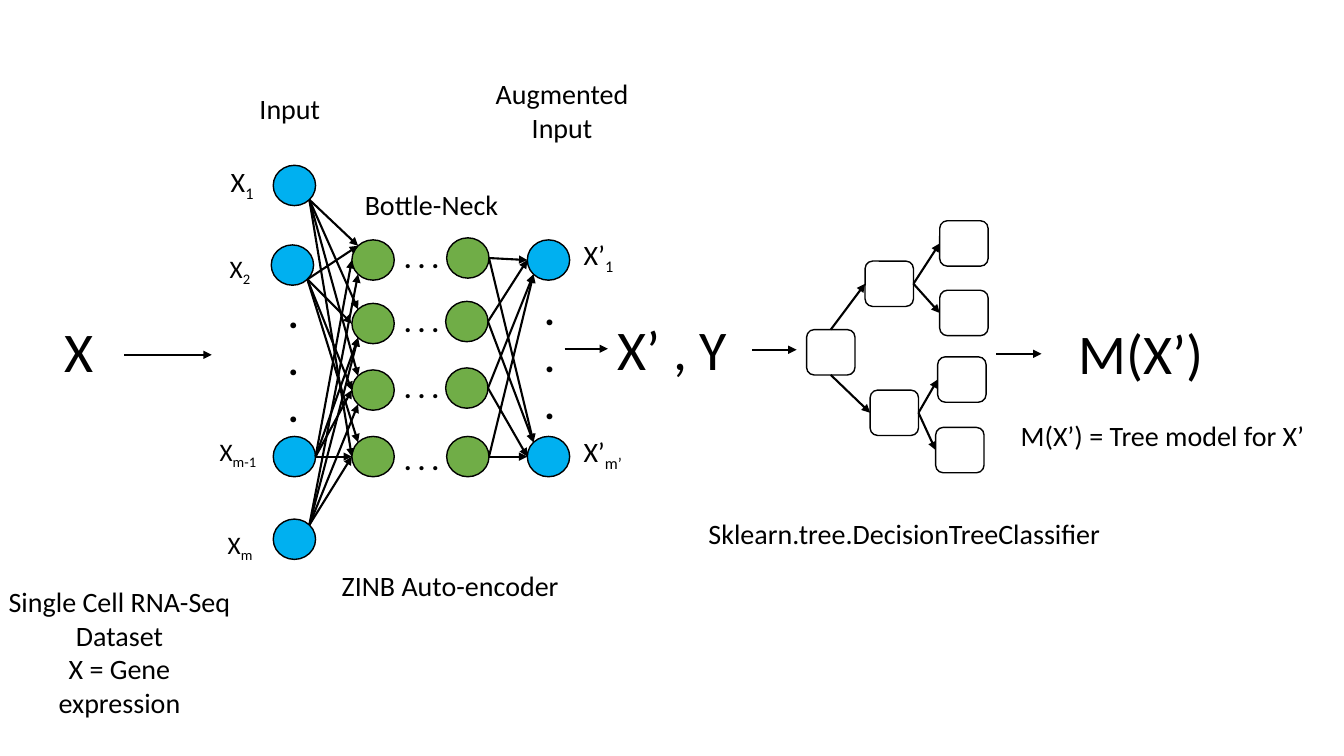
from math import cos, radians, sin

from lxml import etree
from pptx import Presentation
from pptx import util as u
from pptx.dml.color import RGBColor
from pptx.enum import shapes, text
from pptx.oxml.ns import qn

BLACK = RGBColor(0x00, 0x00, 0x00)
WHITE = RGBColor(0xFF, 0xFF, 0xFF)
BLUE = RGBColor(0x00, 0xB0, 0xF0)
GREEN = RGBColor(0x70, 0xAD, 0x47)

SCALE = 9144  # EMU in one px, 100 px to the inch
ELLIPSE = shapes.MSO_SHAPE.OVAL
ROUNDED = shapes.MSO_SHAPE.ROUNDED_RECTANGLE

# Connection sites run counter-clockwise from the top: 4 on a box, 8 on an ellipse.
BOX_TOP, BOX_LEFT, BOX_BOTTOM, BOX_RIGHT = range(4)
UPPER_LEFT, LEFT, LOWER_LEFT = 1, 2, 3
LOWER_RIGHT, RIGHT, UPPER_RIGHT = 5, 6, 7


class Diagram:
    font = "Calibri"
    outline = {"width": u.Pt(1)}
    arrow_line = {"width": u.Pt(1.5)}

    def __init__(self, page):
        self.page = page

    def style(self, target, values):
        for name, value in values.items():
            setattr(target, name, value)

    def draw_line(self, line, values):
        self.style(line, values)
        line.color.rgb = BLACK

    def node(self, kind, x, y, width, height, color):
        shape = self.page.shapes.add_shape(
            kind, *(v * SCALE for v in (x, y, width, height)))
        shape.shadow.inherit = False
        shape.fill.solid()
        shape.fill.fore_color.rgb = color
        self.draw_line(shape.line, self.outline)
        return shape

    def neuron(self, x, y, color):
        return self.node(ELLIPSE, x, y, 42, 40, color)

    def tree_box(self, x, y):
        return self.node(ROUNDED, x, y, 48, 45, WHITE)

    def site(self, shape, index):
        """Return the point of a connection site in EMU."""
        step = 45 if shape.auto_shape_type == ELLIPSE else 90
        angle = radians(90 + step * index)
        return (round(shape.left + shape.width / 2 * (1 + cos(angle))),
                round(shape.top + shape.height / 2 * (1 - sin(angle))))

    def connector(self, start, end):
        """Draw an arrow between two points in EMU."""
        line = self.page.shapes.add_connector(
            shapes.MSO_CONNECTOR.STRAIGHT, *start, *end)
        self.draw_line(line.line, self.arrow_line)
        properties = line._element.spPr
        etree.SubElement(properties.find(qn("a:ln")), qn("a:tailEnd"), type="triangle")
        etree.SubElement(properties, qn("a:effectLst"))
        return line

    def arrow(self, x, y, length):
        self.connector((x * SCALE, y * SCALE), ((x + length) * SCALE, y * SCALE))

    def link(self, source, source_site, target, target_site):
        """Draw an arrow that stays attached to both shapes."""
        line = self.connector(self.site(source, source_site),
                              self.site(target, target_site))
        glue = line._element.nvCxnSpPr.cNvCxnSpPr
        for tag, shape, index in (("a:stCxn", source, source_site),
                                  ("a:endCxn", target, target_site)):
            etree.SubElement(glue, qn(tag), id=str(shape.shape_id), idx=str(index))

    def label(self, x, y, width, height, lines, size=20, subscript="",
              bold=False, centered=False):
        """Add text, one paragraph a line; only centred labels wrap."""
        box = self.page.shapes.add_textbox(
            *(v * SCALE for v in (x, y, width, height)))
        frame = box.text_frame
        self.style(frame, {"word_wrap": centered,
                           "auto_size": text.MSO_AUTO_SIZE.SHAPE_TO_FIT_TEXT})
        frame.text = "\n".join(lines)
        if subscript:
            span = frame.paragraphs[-1].add_run()
            span.text = subscript
            span._r.get_or_add_rPr().set("baseline", "-25000")
        for para in frame.paragraphs:
            if centered:
                para.alignment = text.PP_ALIGN.CENTER
            for span in para.runs:
                self.style(span.font, {"name": self.font, "size": u.Pt(size),
                                       "bold": bold})
                span.font.color.rgb = BLACK


def draw_tree(diagram):
    root, upper, lower, *leaves = [
        diagram.tree_box(x, y) for x, y in (
            (800, 327), (858, 259), (863, 387),
            (932, 219), (932, 288), (930, 354), (928, 424))]
    diagram.link(root, BOX_TOP, upper, BOX_LEFT)
    diagram.link(root, BOX_BOTTOM, lower, BOX_LEFT)
    for parent, children in ((upper, leaves[:2]), (lower, leaves[2:])):
        for leaf in children:
            diagram.link(parent, BOX_RIGHT, leaf, BOX_LEFT)


def draw_autoencoder(diagram):
    inputs = [diagram.neuron(x, y, BLUE)
              for x, y in ((271, 164), (269, 243), (271, 433), (271, 515))]
    encoder = [diagram.neuron(349, y, GREEN) for y in (238, 301, 367, 433)]
    decoder = [diagram.neuron(x, y, GREEN)
               for x, y in ((443, 236), (442, 299), (442, 365), (443, 433))]
    outputs = [diagram.neuron(523, y, BLUE) for y in (238, 433)]

    for x, y in ((530, 279), (276, 282)):
        diagram.label(x, y, 31, 151, [".", ".", "."], size=28, bold=True)
    for y in (234, 297, 363, 434):
        diagram.label(391, y, 55, 44, [". . ."], bold=True)

    # One row per source neuron: its exit site, then the entry site on each target.
    encoder_sites = (
        (LOWER_RIGHT, (UPPER_LEFT, UPPER_LEFT, UPPER_LEFT, LEFT)),
        (LOWER_RIGHT, (UPPER_LEFT, LEFT, LEFT, UPPER_LEFT)),
        (RIGHT, (LEFT, LOWER_LEFT, LEFT, LEFT)),
        (UPPER_RIGHT, (LOWER_LEFT, LOWER_LEFT, LOWER_LEFT, LEFT)))
    decoder_sites = ((RIGHT, (LEFT, UPPER_LEFT)),) * 2 + ((RIGHT, (LOWER_LEFT, LEFT)),) * 2
    for sources, targets, sites in ((inputs, encoder, encoder_sites),
                                    (decoder, outputs, decoder_sites)):
        for source, (leave, entries) in zip(sources, sites):
            for target, enter in zip(targets, entries):
                diagram.link(source, leave, target, enter)


def draw_labels(diagram):
    for x, y, width, name in ((54, 309, 49, "X"), (603, 307, 153, "X’ , Y"),
                              (1060, 311, 144, "M(X’)")):
        diagram.label(x, y, width, 77, [name], size=40)

    for x, y, width, height, size, name, subscript in (
            (219, 158, 44, 44, 20, "X", "1"),
            (218, 246, 42, 40, 18, "X", "2"),
            (208, 428, 61, 40, 18, "X", "m-1"),
            (216, 520, 47, 40, 18, "X", "m"),
            (569, 231, 51, 44, 20, "X’", "1"),
            (569, 426, 60, 44, 20, "X’", "m’")):
        diagram.label(x, y, width, height, [name], size, subscript)

    for x, y, width, height, *lines in (
            (-4, 575, 245, 145, "Single Cell RNA-Seq Dataset", "X = Gene expression"),
            (669, 507, 456, 44, "Sklearn.tree.DecisionTreeClassifier"),
            (973, 410, 360, 44, "M(X’) = Tree model for X’"),
            (236, 86, 103, 44, "Input"),
            (334, 181, 188, 44, "Bottle-Neck"),
            (471, 71, 173, 77, "Augmented Input"),
            (314, 559, 265, 44, "ZINB Auto-encoder")):
        diagram.label(x, y, width, height, lines, centered=True)


def main():
    deck = Presentation()
    deck.slide_width = 1333 * SCALE
    deck.slide_height = 750 * SCALE
    diagram = Diagram(deck.slides.add_slide(deck.slide_layouts[6]))
    draw_tree(diagram)
    draw_autoencoder(diagram)
    draw_labels(diagram)
    for x, y, length in ((123, 352, 87), (560, 346, 43), (746, 347, 44), (988, 351, 45)):
        diagram.arrow(x, y, length)
    deck.save("out.pptx")


if __name__ == "__main__":
    main()
